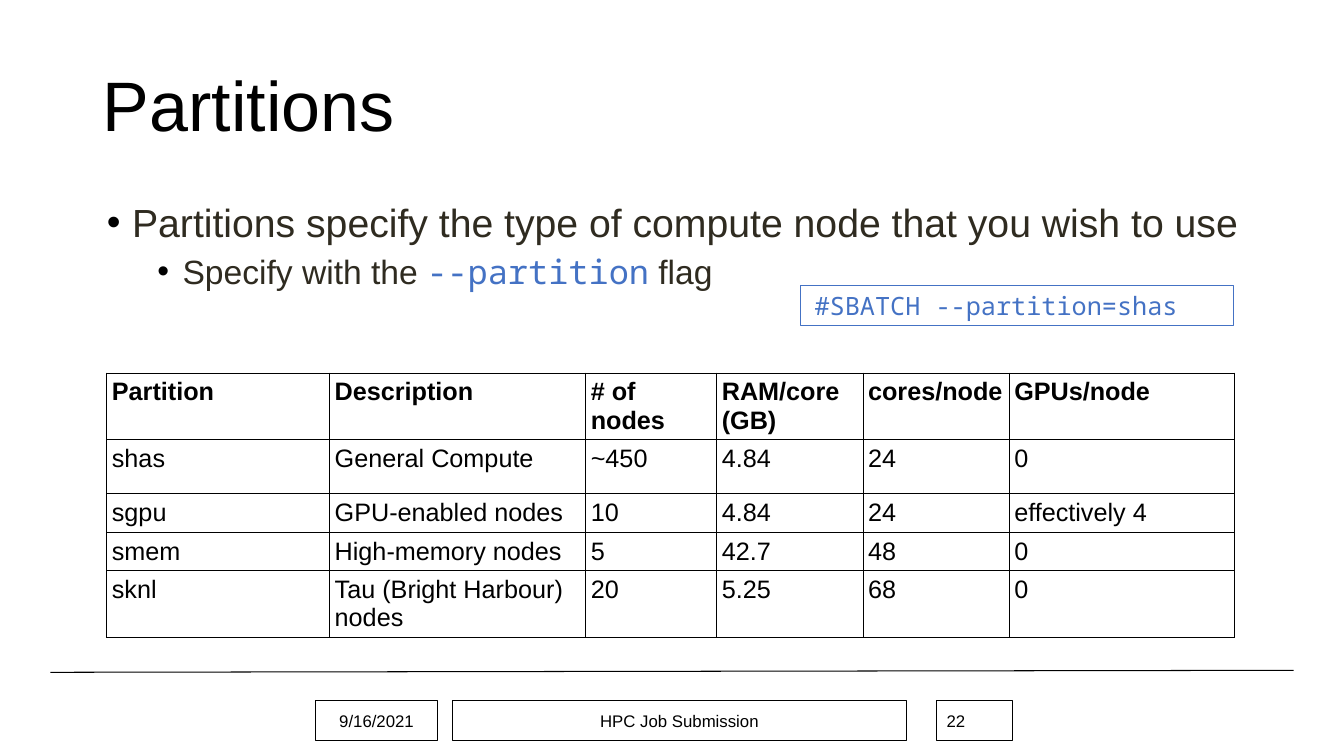
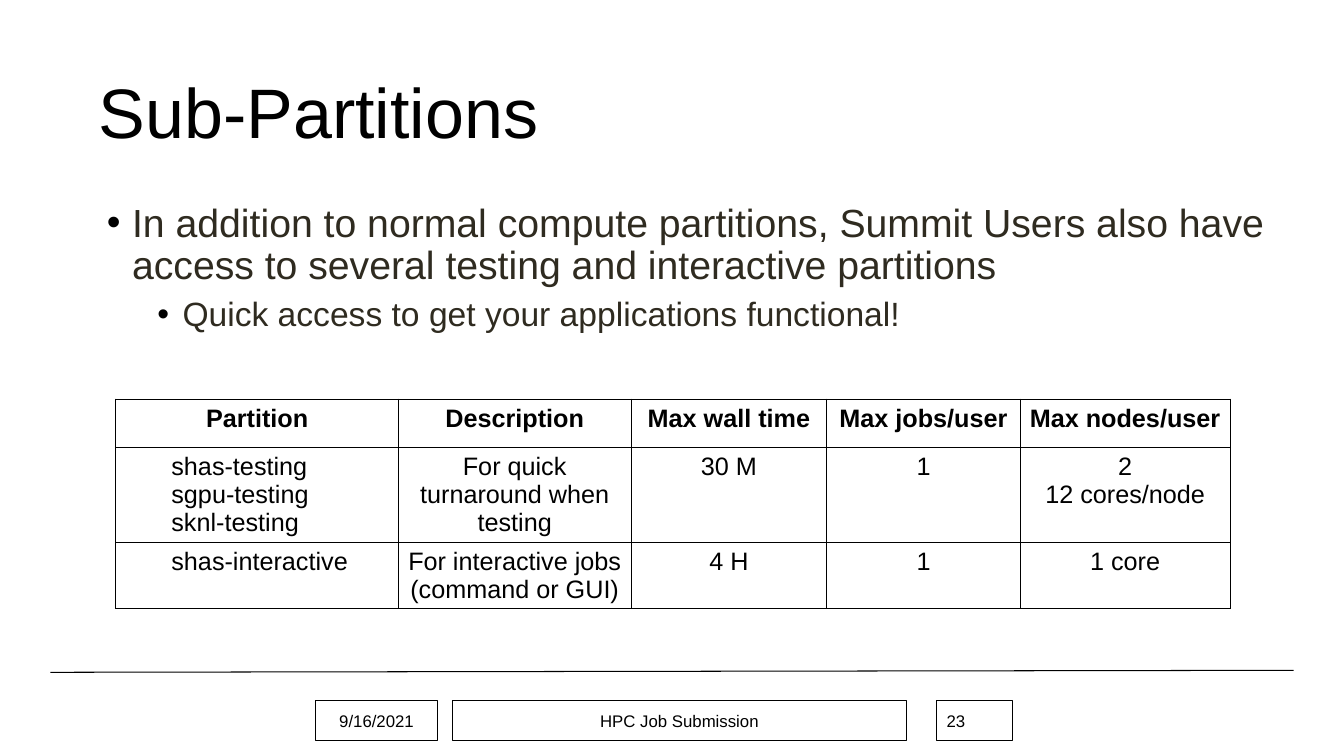
"""Builds two slides on the partitions of a computing cluster."""
import lxml.etree
import pptx
import pptx.dml.color
import pptx.enum.shapes
import pptx.enum.text
import pptx.oxml.ns
import pptx.util

BLACK = pptx.dml.color.RGBColor(0x00, 0x00, 0x00)
BROWN = pptx.dml.color.RGBColor(0x2F, 0x2B, 0x20)
BLUE = pptx.dml.color.RGBColor(0x44, 0x72, 0xC4)
SANS, MONO = "Arial", "Noto Sans Mono"
LEFT = pptx.enum.text.PP_ALIGN.LEFT
CENTER = pptx.enum.text.PP_ALIGN.CENTER
TOP = pptx.enum.text.MSO_ANCHOR.TOP
MIDDLE = pptx.enum.text.MSO_ANCHOR.MIDDLE
EMU_PER_PX = 9144
HAIRLINE = pptx.util.Pt(0.75)


def px(length):
    return pptx.util.Emu(length * EMU_PER_PX)


def add_xml(parent, tag, **attributes):
    return lxml.etree.SubElement(parent, pptx.oxml.ns.qn(tag), attributes)


def write_text(para, text, *, size, color=BLACK, font=SANS, bold=False, align=None,
               level=0, margin=None, hanging=0, bullet=None, spacing=None, before=None):
    if margin is not None:
        properties = para._p.get_or_add_pPr()
        properties.set("marL", str(px(margin)))
        properties.set("indent", str(px(-hanging)))
        if bullet:
            add_xml(add_xml(properties, "a:buClr"), "a:srgbClr", val=str(BLACK))
            add_xml(properties, "a:buFont", typeface=SANS)
            add_xml(properties, "a:buChar", char=bullet)
    if level:
        para.level = level
    if align is not None:
        para.alignment = align
    if spacing is not None:
        para.line_spacing = spacing
    if before is not None:
        para.space_before = pptx.util.Pt(before)
    span = para.add_run()
    span.text = text
    span.font.size = pptx.util.Pt(size)
    span.font.name = font
    span.font.bold = bold
    span.font.color.rgb = color


class PartitionDeck:
    def __init__(self):
        self.deck = pptx.Presentation()
        self.deck.slide_width, self.deck.slide_height = px(1333), px(750)
        self.page = None

    def add_page(self, number):
        self.page = self.deck.slides.add_slide(self.deck.slide_layouts[1])
        self.rule(50, 667, 1283, 665)
        self.label("9/16/2021", 313, 695, 121, 40, size=12, align=CENTER)
        self.label("HPC Job Submission", 449, 695, 450, 40, size=12, align=CENTER)
        self.label(str(number), 929, 695, 75, 40, size=12, align=LEFT)

    def rule(self, x1, y1, x2, y2):
        line = self.page.shapes.add_connector(
            pptx.enum.shapes.MSO_CONNECTOR.STRAIGHT, px(x1), px(y1), px(x2), px(y2))
        line.line.color.rgb = BLACK
        line.line.width = HAIRLINE
        add_xml(line._element.spPr, "a:effectLst")

    def set_frame(self, box, anchor):
        frame = box.text_frame
        frame.word_wrap = True
        frame.auto_size = pptx.enum.text.MSO_AUTO_SIZE.NONE
        frame.vertical_anchor = anchor
        frame.margin_left = frame.margin_right = px(10)
        frame.margin_top = frame.margin_bottom = px(5)
        return frame

    def place(self, box, left, top, width, height, anchor):
        box.left, box.top = px(left), px(top)
        box.width, box.height = px(width), px(height)
        return self.set_frame(box, anchor)

    def title(self, text, left, top, width, height):
        frame = self.place(self.page.shapes.title, left, top, width, height, MIDDLE)
        write_text(frame.paragraphs[0], text, size=50, align=LEFT, spacing=0.9)

    def bullets(self, lead, detail):
        frame = self.place(self.page.placeholders[1], 92, 197, 1183, 455, TOP)
        write_text(frame.paragraphs[0], lead, size=28, color=BROWN, margin=29,
                   hanging=25, bullet="•", spacing=0.9, before=0)
        para = frame.add_paragraph()
        write_text(para, detail, size=24, color=BROWN, level=1, margin=79,
                   hanging=25, bullet="•", spacing=0.9, before=6.5)
        return para

    def label(self, text, left, top, width, height, color=BLACK, anchor=MIDDLE, **style):
        box = self.page.shapes.add_shape(
            pptx.enum.shapes.MSO_SHAPE.RECTANGLE, px(left), px(top), px(width), px(height))
        box.shadow.inherit = False
        box.fill.background()
        box.line.color.rgb = color
        box.line.width = HAIRLINE
        frame = self.set_frame(box, anchor)
        write_text(frame.paragraphs[0], text, color=color, **style)

    def table(self, left, top, widths, heights, rows, align, first_style=None):
        table = self.page.shapes.add_table(
            len(rows), len(widths), px(left), px(top), px(sum(widths)), px(sum(heights))).table
        table.first_row = table.horz_banding = False
        for column, width in zip(table.columns, widths):
            column.width = px(width)
        for row, height in zip(table.rows, heights):
            row.height = px(height)
        for r, texts in enumerate(rows):
            for c, text in enumerate(texts):
                style = {"align": align}
                if r and c == 0 and first_style:
                    style = first_style
                self.cell(table.cell(r, c), text, bold=r == 0, **style)

    def cell(self, cell, text, **style):
        cell.margin_left = cell.margin_right = px(5)
        cell.margin_top = cell.margin_bottom = px(5)
        cell.fill.background()
        properties = cell._tc.get_or_add_tcPr()
        for index, side in enumerate(("a:lnL", "a:lnR", "a:lnT", "a:lnB")):
            border = add_xml(properties, side, w=str(HAIRLINE))
            add_xml(add_xml(border, "a:solidFill"), "a:srgbClr", val=str(BLACK))
            properties.insert(index, border)
        frame = cell.text_frame
        for index, line in enumerate(text.split("\n")):
            para = frame.add_paragraph() if index else frame.paragraphs[0]
            write_text(para, line, size=18, **style)


def main():
    slides = PartitionDeck()

    slides.add_page(22)
    slides.title("Partitions", 92, 35, 1132, 145)
    flag = slides.bullets("Partitions specify the type of compute node that you wish to use",
                          "Specify with the ")
    write_text(flag, "--partition", size=24, color=BLUE, font=MONO)
    write_text(flag, " flag", size=24, color=BROWN)
    slides.table(106, 370, (221, 254, 130, 145, 145, 223), (66, 54, 37, 38, 66), (
        ("Partition", "Description", "# of nodes", "RAM/core (GB)", "cores/node", "GPUs/node"),
        ("shas", "General Compute", "~450", "4.84", "24", "0"),
        ("sgpu", "GPU-enabled nodes", "10", "4.84", "24", "effectively 4"),
        ("smem", "High-memory nodes", "5", "42.7", "48", "0"),
        ("sknl", "Tau (Bright Harbour) nodes", "20", "5.25", "68", "0"),
    ), LEFT)
    slides.label("#SBATCH --partition=shas", 794, 283, 429, 40, color=BLUE, anchor=TOP,
                 size=18, font=MONO, align=LEFT, margin=4)

    slides.add_page(23)
    slides.title("Sub-Partitions", 88, 42, 1150, 145)
    slides.bullets("In addition to normal compute partitions, Summit Users also have "
                   "access to several testing and interactive partitions",
                   "Quick access to get your applications functional!")
    slides.table(115, 396, (280, 231, 194, 192, 208), (48, 93, 66), (
        ("Partition", "Description", "Max wall time", "Max jobs/user", "Max nodes/user"),
        ("shas-testing\nsgpu-testing\nsknl-testing", "For quick turnaround when testing",
         "30 M", "1", "2\n12 cores/node"),
        ("shas-interactive", "For interactive jobs (command or GUI)", "4 H", "1", "1 core"),
    ), CENTER, first_style={"align": LEFT, "level": 1, "margin": 50})

    slides.deck.save("out.pptx")


if __name__ == "__main__":
    main()
